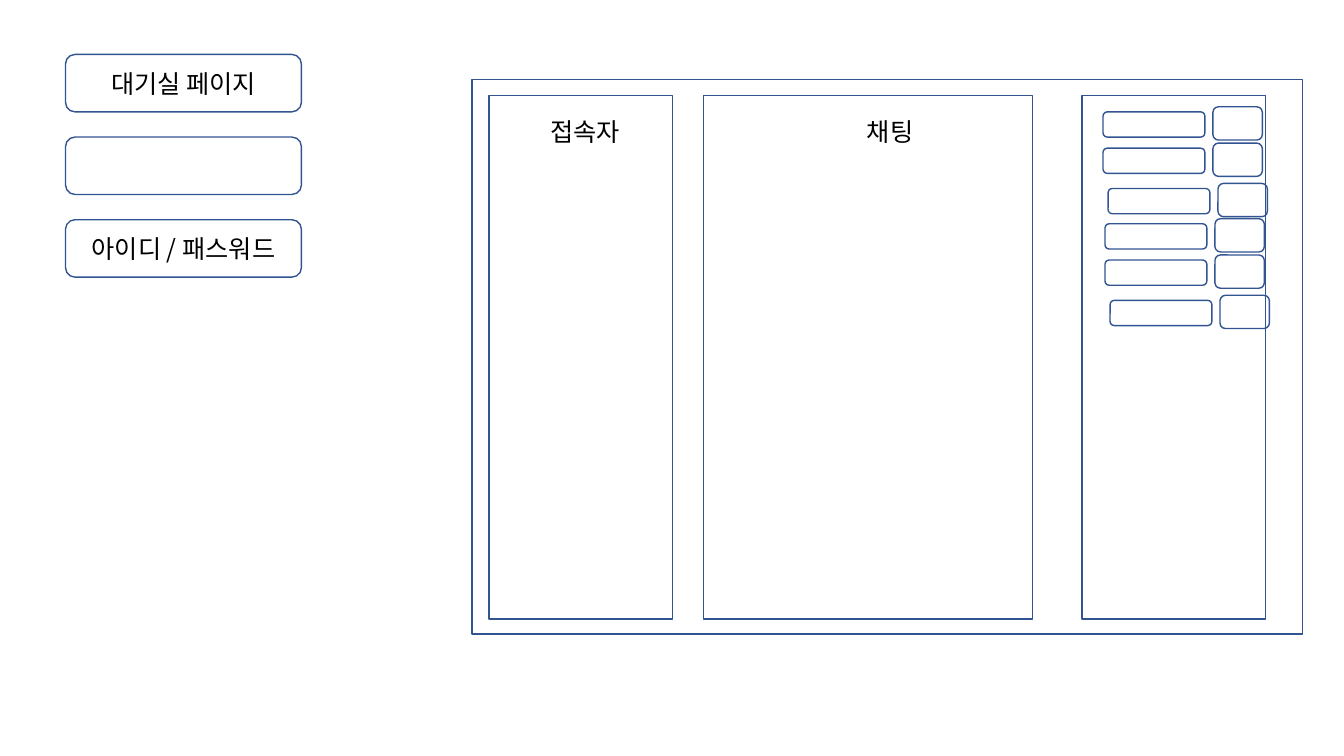
from itertools import product

from lxml.etree import SubElement
from pptx import Presentation
from pptx.dml.color import RGBColor
from pptx.enum.shapes import MSO_SHAPE
from pptx.enum.text import MSO_ANCHOR, PP_ALIGN
from pptx.oxml.ns import qn
from pptx.util import Inches, Pt

COLORS = {"line": "325491", "text": "000000", "page": "FFFFFF"}
FONT = "Noto Sans CJK KR"
SLIDE_W, SLIDE_H = 13.33, 7.5


def write(sp, text, size=18, color="text", align=PP_ALIGN.CENTER,
          anchor=MSO_ANCHOR.MIDDLE, wrap=True):
    tf = sp.text_frame
    tf.word_wrap = wrap
    tf.vertical_anchor = anchor
    p = tf.paragraphs[0]
    p.alignment = align
    r = p.add_run()
    r.text = text
    r.font.size = Pt(size)
    r.font.name = FONT
    r.font.color.rgb = RGBColor.from_string(COLORS[color])
    SubElement(r.font._element, qn("a:ea")).set("typeface", FONT)


def outline(s, x, y, w, h, kind=MSO_SHAPE.RECTANGLE):
    sp = s.shapes.add_shape(kind, Inches(x), Inches(y), Inches(w), Inches(h))
    sp.shadow.inherit = False
    sp.fill.background()
    sp.line.color.rgb = RGBColor.from_string(COLORS["line"])
    sp.line.width = Pt(1)
    return sp


def page_labels(s, x, y, w, h, labels, pitch):
    """Stack of rounded boxes naming the page and its data."""
    for i, label in enumerate(labels):
        sp = outline(s, x, y + i * pitch, w, h, MSO_SHAPE.ROUNDED_RECTANGLE)
        if label:
            write(sp, label)


def panel(s, x, y, w, h, title=None, title_x=0, title_w=0):
    """Column of the waiting room with an optional heading."""
    outline(s, x, y, w, h)
    if title:
        tb = s.shapes.add_textbox(Inches(x + title_x), Inches(y + 0.16),
                                  Inches(title_w), Inches(0.4))
        write(tb, title, align=PP_ALIGN.LEFT, anchor=MSO_ANCHOR.TOP, wrap=False)


def room_list(s, x, y, w, h):
    """Two groups of three rooms, each a name bar and a button."""
    panel(s, x, y, w, h)
    steps = [(0, 0), (0, 0.36), (0.05, 0.76)]
    for group, (dx, dy) in product(range(2), steps):
        left = x + 0.21 + dx + group * 0.02
        top = y + 0.11 + dy + group * 1.11
        outline(s, left, top + 0.05, 1.01, 0.25, MSO_SHAPE.ROUNDED_RECTANGLE)
        outline(s, left + 1.09, top, 0.49, 0.33, MSO_SHAPE.ROUNDED_RECTANGLE)


def waiting_room(s, x, y, w, h):
    """Window frame holding users, chat and rooms."""
    outline(s, x, y, w, h)
    top, height = y + 0.16, h - 0.31
    panel(s, x + 0.17, top, 1.82, height, "접속자", 0.51, 0.96)
    panel(s, x + 2.3, top, 3.26, height, "채팅", 1.52, 0.71)
    room_list(s, x + 6.05, top, 1.82, height)


prs = Presentation()
prs.slide_width, prs.slide_height = Inches(SLIDE_W), Inches(SLIDE_H)
s = prs.slides.add_slide(prs.slide_layouts[6])
s.background.fill.solid()
s.background.fill.fore_color.rgb = RGBColor.from_string(COLORS["page"])

page_labels(s, 0.65, 0.54, 2.34, 0.57,
            ["대기실 페이지", None, "아이디 / 패스워드"], pitch=0.82)
waiting_room(s, 4.68, 0.79, 8.24, 5.5)

prs.save("out.pptx")
